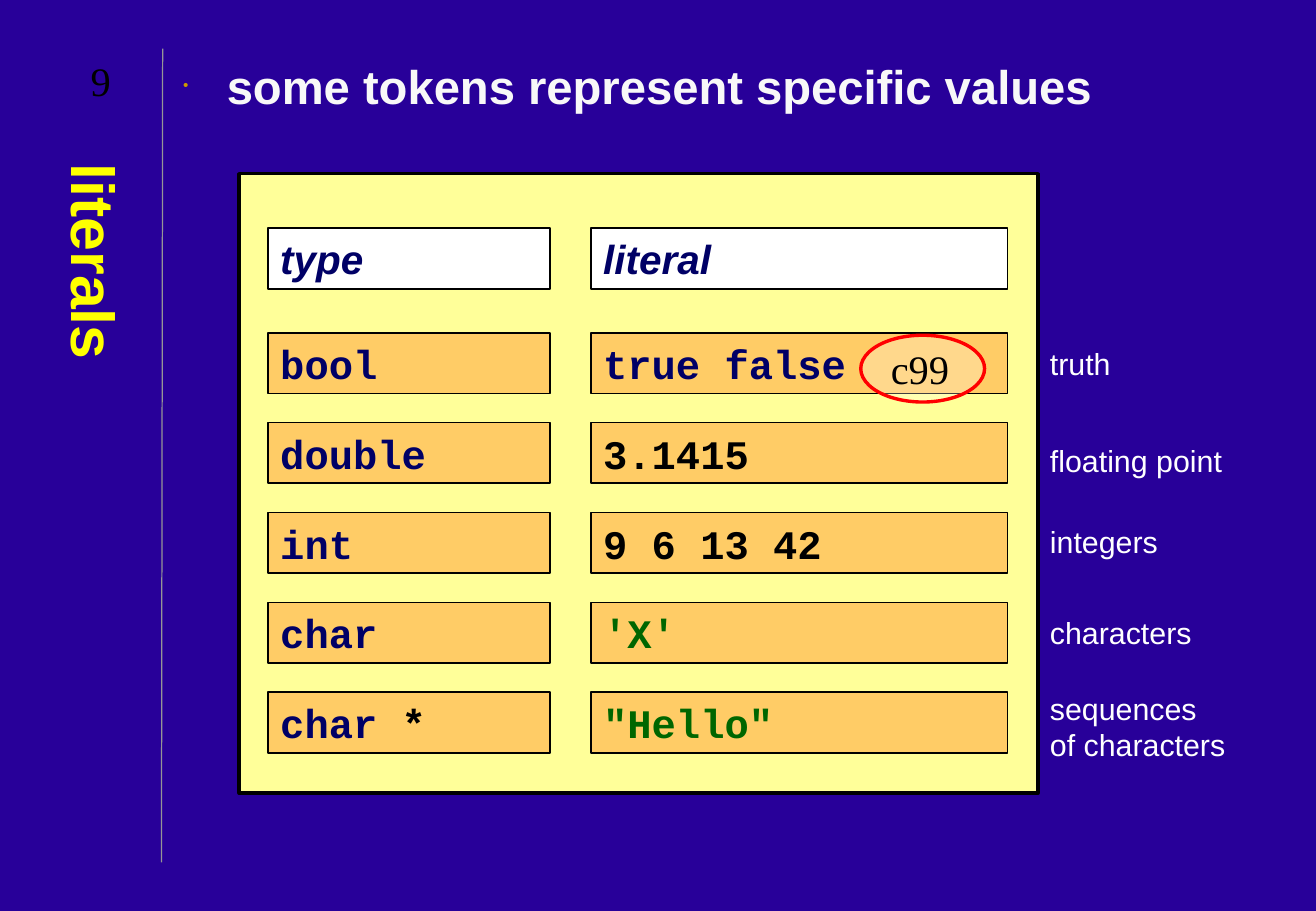
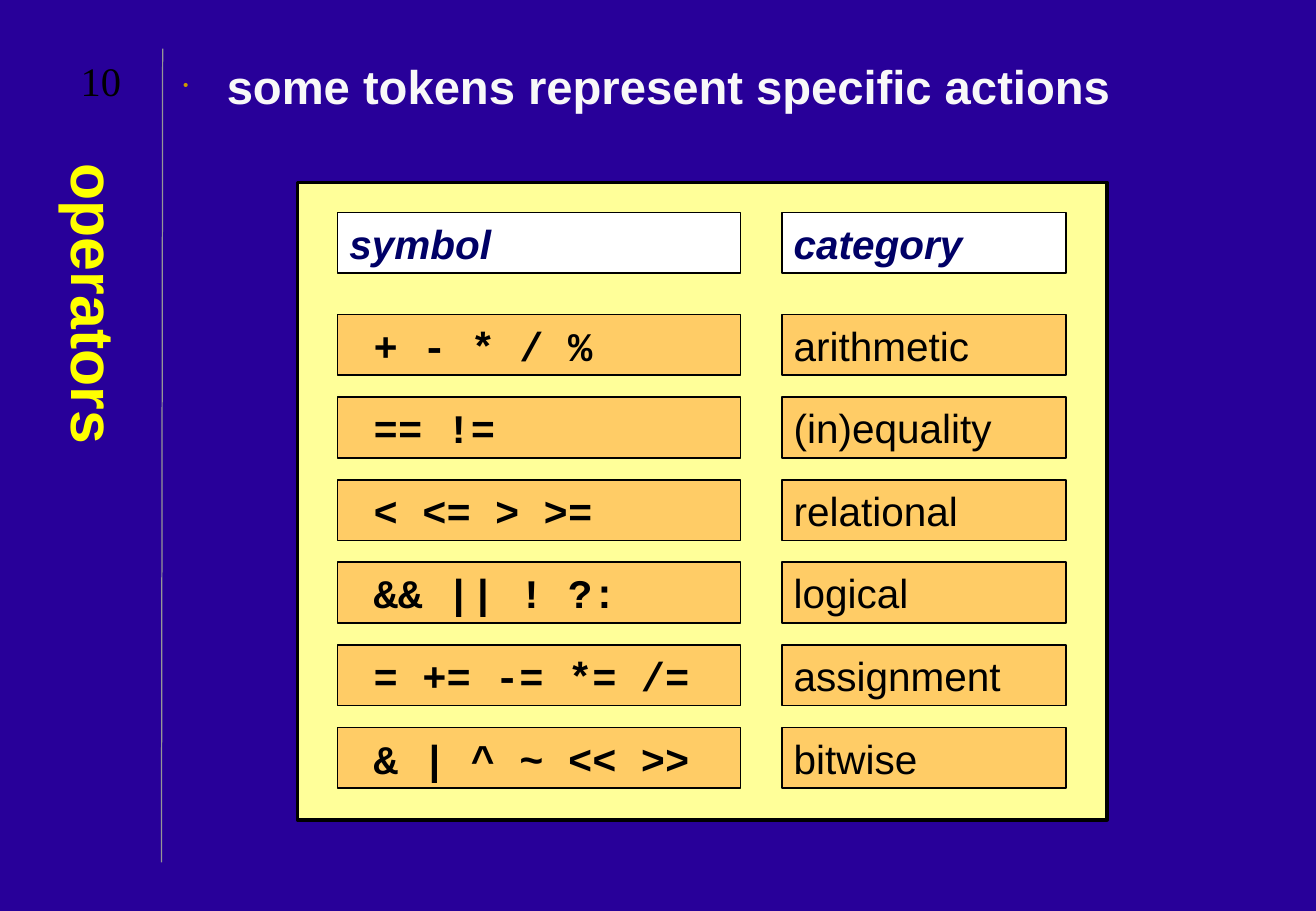
from lxml import etree
from pptx import Presentation
from pptx.dml.color import RGBColor
from pptx.enum.shapes import MSO_CONNECTOR, MSO_SHAPE
from pptx.enum.text import MSO_ANCHOR, MSO_AUTO_SIZE, PP_ALIGN
from pptx.oxml.ns import qn
from pptx.util import Inches, Pt

RECT, OVAL = MSO_SHAPE.RECTANGLE, MSO_SHAPE.OVAL
LINE = MSO_CONNECTOR.STRAIGHT
TOP, MID = MSO_ANCHOR.TOP, MSO_ANCHOR.MIDDLE
LEFT, MIDST = PP_ALIGN.LEFT, PP_ALIGN.CENTER
GROW = MSO_AUTO_SIZE.SHAPE_TO_FIT_TEXT

WIDTH, HEIGHT = 10.84, 7.5
ROW = 0.5
BACK, RULE, PANEL, CELL = "280099", "969696", "FFFF99", "FFCC66"
WHITE, BLACK, NAVY, GREEN, RED = "FFFFFF", "000000", "000066", "006600", "FF0000"

STYLES = {
    "title": ("Arial", 36, "FFFF00", True, False),
    "point": ("Arial", 28, "F8F8F8", True, False),
    "head": ("Arial", 24, NAVY, True, False),
    "plain": ("Arial", 24, BLACK, False, False),
    "label": ("Arial", 18, WHITE, False, False),
    "serif": ("Times New Roman", 24, BLACK, False, False),
    "word": ("Courier New", 24, NAVY, True, False),
    "code": ("Courier New", 24, BLACK, True, False),
    "text": ("Courier New", 24, GREEN, True, False),
}
STYLES["head"] = STYLES["head"][:4] + (True,)

TYPES = [
    ([("bool", "word")], [("true false", "word")]),
    ([("double", "word")], [("3.1415", "code")]),
    ([("int", "word")], [("9 6 13 42", "code")]),
    ([("char", "word")], [("'X'", "text")]),
    ([("char ", "word"), ("*", "code")], [('"Hello"', "text")]),
]
LABELS = [
    (2.79, ["truth"]),
    (3.59, ["floating point"]),
    (4.26, ["integers"]),
    (5.01, ["characters"]),
    (5.63, ["sequences", "of characters"]),
]
SYMBOLS = [
    ("+ - * / %", "arithmetic"),
    ("== !=", "(in)equality"),
    ("< <= > >=", "relational"),
    ("&& || ! ?:", "logical"),
    ("= += -= *= /=", "assignment"),
    ("& | ^ ~ << >>", "bitwise"),
]


def color(code):
    return RGBColor.from_string(code)


def write(shape, lines, anchor=TOP, align=LEFT, indent=0, wrap=True):
    frame = shape.text_frame
    frame.word_wrap = wrap
    frame.vertical_anchor = anchor
    for i, runs in enumerate(lines):
        para = frame.add_paragraph() if i else frame.paragraphs[0]
        para.alignment = align
        if indent:
            para._p.get_or_add_pPr().set("marL", str(Inches(indent)))
        for text, style in runs:
            run = para.add_run()
            run.text = text
            font = run.font
            font.name, size, tint, font.bold, font.italic = STYLES[style]
            font.size = Pt(size)
            font.color.rgb = color(tint)
    return frame


def label(slide, area, lines, **style):
    box = slide.shapes.add_textbox(*map(Inches, area))
    write(box, lines, **style)
    return box


def block(slide, area, fill, line=BLACK, weight=1, kind=RECT):
    shape = slide.shapes.add_shape(kind, *map(Inches, area))
    shape.shadow.inherit = False
    shape.fill.solid()
    shape.fill.fore_color.rgb = color(fill)
    shape.line.color.rgb = color(line)
    shape.line.width = Pt(weight)
    return shape


def cell(slide, area, fill, runs, indent=0):
    frame = write(block(slide, area, fill), [runs], indent=indent)
    frame.auto_size = GROW


def bullet(box):
    para = box.text_frame.paragraphs[0]
    para.space_before = Pt(7)
    props = para._p.get_or_add_pPr()
    props.set("marL", str(Inches(0.36)))
    props.set("indent", str(Inches(-0.36)))
    tint = etree.SubElement(props, qn("a:buClr"))
    etree.SubElement(tint, qn("a:srgbClr"), val="CC9900")
    etree.SubElement(props, qn("a:buSzPct"), val="32000")
    etree.SubElement(props, qn("a:buFont"), typeface="Arial")
    etree.SubElement(props, qn("a:buChar"), char="•")


def page(deck, number, title, point):
    slide = deck.slides.add_slide(deck.slide_layouts[6])
    ends = map(Inches, (1.33, 7.1, 1.34, 0.4))
    rule = slide.shapes.add_connector(LINE, *ends)
    rule.line.color.rgb = color(RULE)
    rule.line.width = Pt(0.75)
    etree.SubElement(rule._element.spPr, qn("a:effectLst"))
    side = label(slide, (0.33, 1.25, 0.92, 5.83), [[(title, "title")]],
                 anchor=MID, align=MIDST)
    side.text_frame._txBody.bodyPr.set("vert", "eaVert")
    bullet(label(slide, (1.41, 0.42, 8.92, 6.67), [[(point, "point")]]))
    label(slide, (0.42, 0.41, 0.82, ROW), [[(number, "serif")]],
          anchor=MID, align=MIDST)
    return slide


def grid(slide, panel, cols, heads, head, top, pitch, rows, indent=0):
    block(slide, panel, PANEL, weight=2)
    for i, (left, width) in enumerate(cols):
        cell(slide, (left, head, width, ROW), WHITE, [(heads[i], "head")])
        for j, row in enumerate(rows):
            area = (left, top + j * pitch, width, ROW)
            cell(slide, area, CELL, row[i], 0 if i else indent)


def badge(slide, area, text):
    oval = block(slide, area, WHITE, RED, 2, OVAL)
    tint = oval._element.spPr.find(".//" + qn("a:srgbClr"))
    etree.SubElement(tint, qn("a:alpha"), val="25000")
    write(oval, [[(text, "serif")]], anchor=MID, wrap=False)


def literals(deck):
    slide = page(deck, "9", "literals", "some tokens represent specific values")
    grid(slide, (1.97, 1.43, 6.58, 5.1), [(2.21, 2.32), (4.87, 3.43)],
         ("type", "literal"), 1.88, 2.74, 0.74, TYPES)
    for top, lines in LABELS:
        area = (8.55, top, 1.75, 0.1 + 0.3 * len(lines))
        label(slide, area, [[(line, "label")] for line in lines])
    badge(slide, (7.09, 2.76, 1.02, 0.55), "c99")


def operators(deck):
    slide = page(deck, "10", "operators", "some tokens represent specific actions")
    rows = [([(sign, "code")], [(name, "plain")]) for sign, name in SYMBOLS]
    grid(slide, (2.45, 1.5, 6.67, 5.25), [(2.78, 3.32), (6.44, 2.34)],
         ("symbol", "category"), 1.75, 2.59, 0.68, rows, indent=0.2)


def main():
    deck = Presentation()
    deck.slide_width, deck.slide_height = Inches(WIDTH), Inches(HEIGHT)
    back = deck.slide_master.background.fill
    back.solid()
    back.fore_color.rgb = color(BACK)
    literals(deck)
    operators(deck)
    deck.save("out.pptx")


if __name__ == "__main__":
    main()
